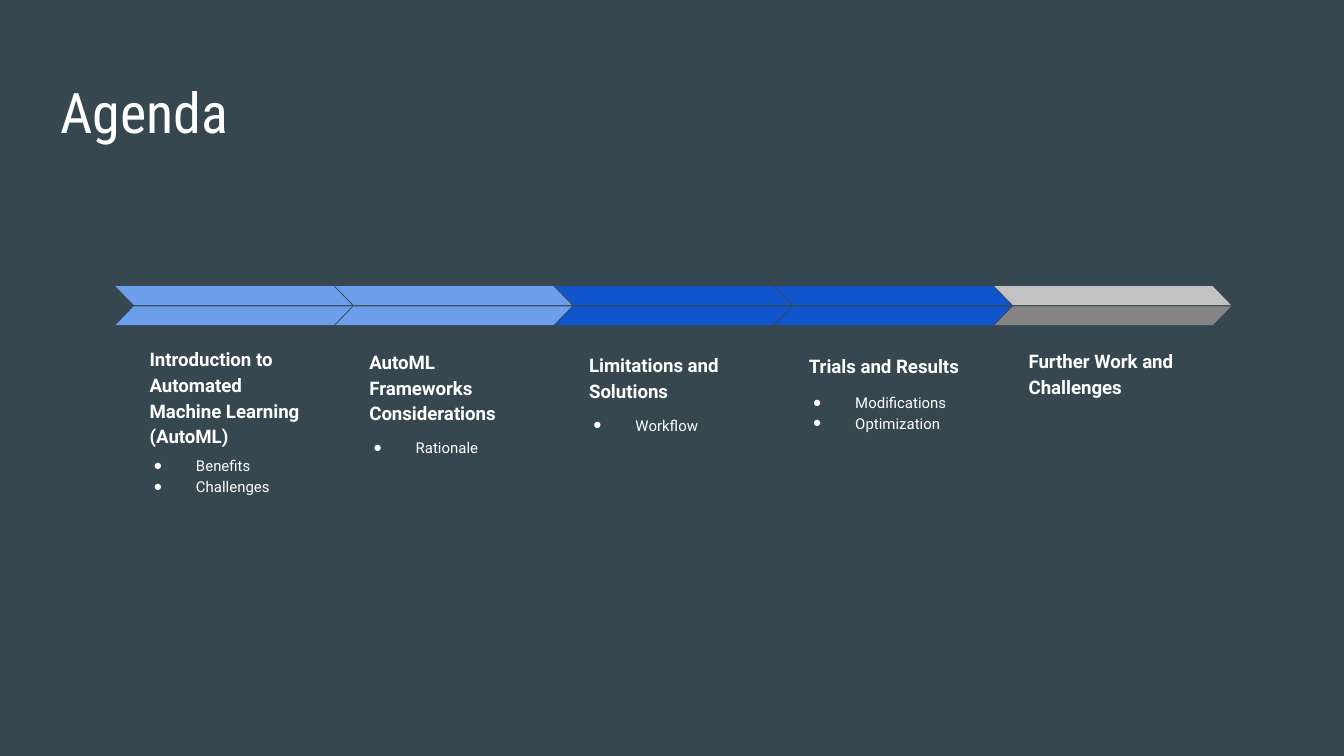
from pptx import Presentation
from pptx.dml.color import RGBColor as Rgb
from pptx.enum.shapes import MSO_SHAPE as Kind
from pptx.enum.text import MSO_ANCHOR as Anchor
from pptx.oxml.ns import qn
from pptx.util import Inches, Pt
from lxml.etree import SubElement as Sub

HUES = {
    "back": "37474F",
    "white": "FFFFFF",
    "light": "6D9EEB",
    "deep": "1155CC",
    "silver": "C2C2C2",
    "gray": "858585",
}

STEPS = [
    ("Introduction to Automated Machine Learning (AutoML)",
     ["Benefits", "Challenges"], 2.98, 3.28, "light", "light"),
    ("AutoML Frameworks Considerations",
     ["Rationale"], 2.81, 3.17, "light", "light"),
    ("Limitations and Solutions",
     ["Workflow"], 2.64, 3.0, "deep", "deep"),
    ("Trials and Results",
     ["Modifications", "Optimization"], 2.45, 2.81, "deep", "deep"),
    ("Further Work and Challenges",
     [], 2.61, None, "silver", "gray"),
]


def hue(name):
    return Rgb.from_string(HUES[name])


def write(par, text, size=10, font="Roboto", bold=False, color="white",
          gap=1.15, dot=False):
    par.line_spacing = gap
    run = par.add_run()
    run.text = text
    run.font.size = Pt(size)
    run.font.name = font
    run.font.bold = bold
    run.font.color.rgb = hue(color)
    if dot:
        props = par._p.get_or_add_pPr()
        props.set("marL", str(Inches(0.5)))
        props.set("indent", str(Inches(-0.31)))
        tint = Sub(props, qn("a:buClr"))
        Sub(tint, qn("a:srgbClr"), val=HUES[color])
        Sub(props, qn("a:buSzPct"), val="55000")
        Sub(props, qn("a:buFont"), typeface=font)
        Sub(props, qn("a:buChar"), char="●")


class Deck:
    def __init__(self, wide, high):
        self.file = Presentation()
        self.file.slide_width = Inches(wide)
        self.file.slide_height = Inches(high)
        self.slide = self.file.slides.add_slide(self.file.slide_layouts[6])
        fill = self.slide.background.fill
        fill.solid()
        fill.fore_color.rgb = hue("back")

    def text(self, box, lines, anchor=Anchor.TOP, **style):
        area = self.slide.shapes.add_textbox(*map(Inches, box))
        frame = area.text_frame
        frame.word_wrap = True
        frame.vertical_anchor = anchor
        frame.margin_left = frame.margin_right = Inches(0.1)
        frame.margin_top = frame.margin_bottom = Inches(0.1)
        for num, line in enumerate(lines):
            par = frame.add_paragraph() if num else frame.paragraphs[0]
            write(par, line, **style)

    def slant(self, box, color, flip=False):
        band = self.slide.shapes.add_shape(
            Kind.PARALLELOGRAM, *map(Inches, box))
        band.adjustments[0] = 0.97
        band.shadow.inherit = False
        band.fill.solid()
        band.fill.fore_color.rgb = hue(color)
        band.line.fill.background()
        if flip:
            band._element.spPr.get_or_add_xfrm().set("flipH", "1")

    def arrow(self, left, top, upper, lower):
        self.slant((left, top, 1.76, 0.14), upper, flip=True)
        self.slant((left, top + 0.15, 1.76, 0.14), lower)


def main():
    deck = Deck(10, 10 * 9 / 16)
    deck.text((0.35, 0.48, 9.32, 0.63), ["Agenda"],
              size=30, font="Roboto Condensed", gap=1.0)
    for num, (head, items, high, low, upper, lower) in enumerate(STEPS):
        left = 0.86 + num * 1.635
        deck.arrow(left, 2.13, upper, lower)
        deck.text((left + 0.155, high, 1.44, 0.45), [head],
                  anchor=Anchor.BOTTOM, bold=True)
        if items:
            deck.text((left, low, 1.48, 0.74), items, size=8, dot=True)
    deck.file.save("out.pptx")


if __name__ == "__main__":
    main()
